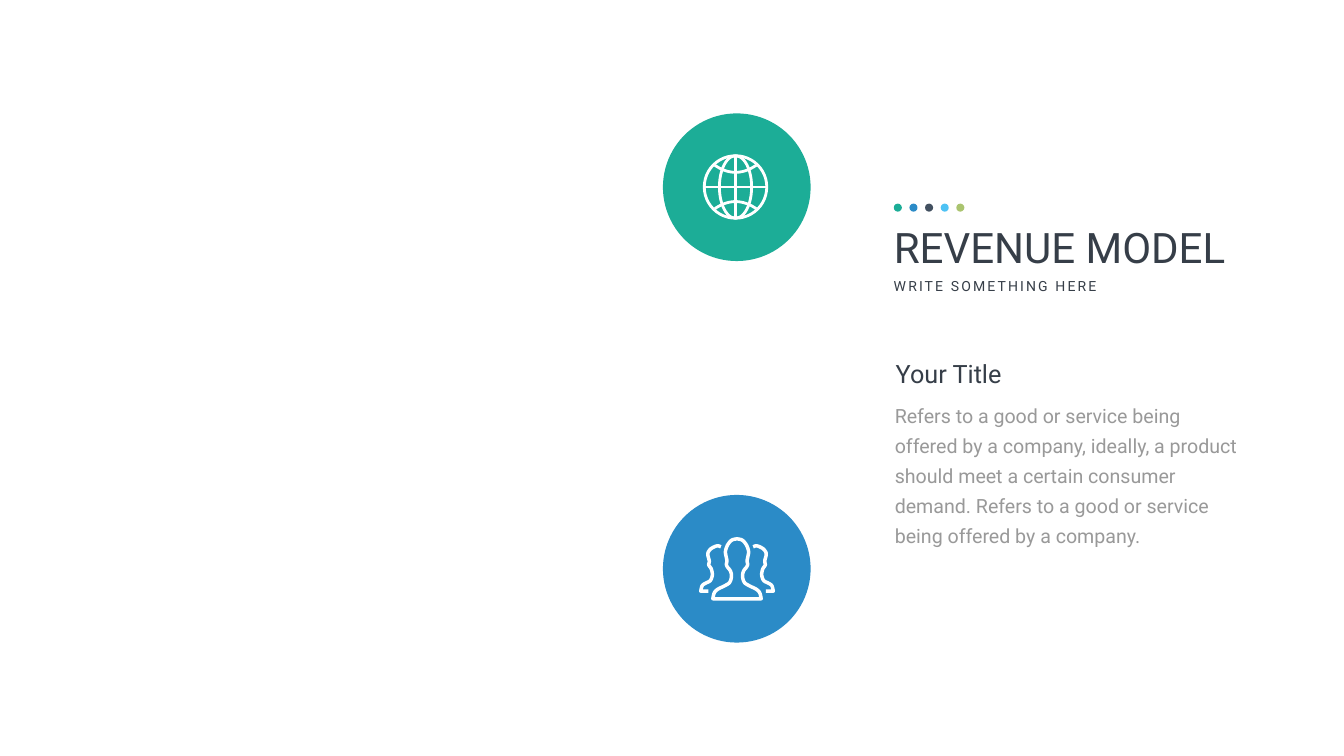
from lxml import etree
from pptx import Presentation
from pptx.dml.color import RGBColor
from pptx.enum.shapes import MSO_CONNECTOR, MSO_SHAPE
from pptx.enum.text import MSO_ANCHOR, MSO_AUTO_SIZE, PP_ALIGN
from pptx.oxml.ns import qn
from pptx.util import Inches, Pt

COLORS = {
    "green": "1CAD97", "blue": "2B8BC7", "slate": "425060", "sky": "4EC2F4",
    "olive": "AAC46F", "dark": "363E48", "gray": "999999", "white": "FFFFFF",
}
FONT = "Roboto"
TITLE = {"text": "REVENUE MODEL", "box": (17.63, 4.35, 7.27, 1.11), "size": 60, "color": "dark"}
TEXTS = [
    {"text": "WRITE SOMETHING HERE", "box": (17.63, 5.46, 4.35, 0.44), "size": 20,
     "color": "dark", "wrap": False, "tracking": 3},
    {"text": "Your Title", "box": (17.67, 7.05, 6.53, 0.71), "size": 36, "color": "dark"},
    {"text": "Refers to a good or service being offered by a company, ideally, a product "
             "should meet a certain consumer demand. Refers to a good or service being "
             "offered by a company.",
     "box": (17.51, 7.76, 7.27, 3.2), "size": 28, "color": "gray",
     "margins": (0.24, 0.12), "line_spacing": 43},
]
BADGES = [(13.15, 9.82, "blue"), (13.15, 2.25, "green")]
BADGE_SIZE = 2.93
DOT_COLORS = ["green", "blue", "slate", "sky", "olive"]
DOT_LEFT, DOT_TOP, DOT_SIZE, DOT_STEP = 17.73, 4.04, 0.16, 0.31

GLOBE_X, GLOBE_Y, GLOBE_RADIUS, MERIDIAN_RADIUS = 14.59, 3.71, 0.62, 0.32
GLOBE_LINE, PEOPLE_LINE = 4, 5
PEOPLE_X = 14.62
# Right halves of the outlines, as offsets from PEOPLE_X and heights on the slide
FRONT_PERSON = [
    (0, 10.69), (0.09, 10.71), (0.15, 10.76), (0.2, 10.84), (0.23, 10.95), (0.21, 11.07),
    (0.2, 11.13), (0.21, 11.2), (0.19, 11.25), (0.13, 11.33), (0.11, 11.44), (0.15, 11.56),
    (0.26, 11.63), (0.38, 11.69), (0.45, 11.76), (0.48, 11.88),
]
BACK_PERSON = [
    (0.32, 10.85), (0.38, 10.83), (0.45, 10.85), (0.53, 10.9), (0.58, 10.99), (0.55, 11.13),
    (0.56, 11.21), (0.51, 11.29), (0.49, 11.41), (0.53, 11.52), (0.62, 11.57), (0.69, 11.62),
    (0.72, 11.73),
]
BACK_PERSON_END = (0.57, 11.73)

presentation = Presentation()
presentation.slide_width, presentation.slide_height = Inches(26.66), Inches(15)
slide = presentation.slides.add_slide(presentation.slide_layouts[5])
shapes = slide.shapes


def rgb(name):
    return RGBColor.from_string(COLORS[name])


def set_text(shape, item):
    shape.left, shape.top, shape.width, shape.height = map(Inches, item["box"])
    side, edge = map(Inches, item.get("margins", (0.1, 0.05)))
    frame_format = {
        "word_wrap": item.get("wrap", True), "auto_size": MSO_AUTO_SIZE.SHAPE_TO_FIT_TEXT,
        "vertical_anchor": MSO_ANCHOR.TOP, "margin_left": side, "margin_right": side,
        "margin_top": edge, "margin_bottom": edge,
    }
    for name, value in frame_format.items():
        setattr(shape.text_frame, name, value)
    paragraph = shape.text_frame.paragraphs[0]
    paragraph.alignment = PP_ALIGN.LEFT
    if "line_spacing" in item:
        paragraph.line_spacing = Pt(item["line_spacing"])
    run = paragraph.add_run()
    run.text = item["text"]
    for name, value in {"name": FONT, "size": Pt(item["size"])}.items():
        setattr(run.font, name, value)
    run.font.color.rgb = rgb(item["color"])
    if "tracking" in item:
        run._r.get_or_add_rPr().set("spc", str(item["tracking"] * 100))


def add_ellipse(left, top, width, height, color):
    shape = shapes.add_shape(MSO_SHAPE.OVAL, *map(Inches, (left, top, width, height)))
    shape.shadow.inherit = False
    shape.fill.solid()
    shape.fill.fore_color.rgb = rgb(color)
    shape.line.fill.background()
    return shape


def set_stroke(shape, width):
    shape.line.color.rgb = rgb("white")
    shape.line.width = Pt(width)


def add_outline(points, width, close=False):
    corners = [(Inches(x), Inches(y)) for x, y in points]
    builder = shapes.build_freeform(*corners[0])
    builder.add_line_segments(corners[1:], close=close)
    shape = builder.convert_to_shape()
    shape.shadow.inherit = False
    shape.fill.background()
    set_stroke(shape, width)


def smooth(points, steps=5):
    """Return a Catmull-Rom curve through the points."""
    padded = [points[0], *points, points[-1]]
    curve = []
    for a, b, c, d in zip(padded, padded[1:], padded[2:], padded[3:]):
        for step in range(steps):
            t = step / steps
            curve.append(tuple(
                (2 * q + (r - p) * t + (2 * p - 5 * q + 4 * r - s) * t ** 2
                 + (3 * q - p - 3 * r + s) * t ** 3) / 2
                for p, q, r, s in zip(a, b, c, d)))
    return curve + [points[-1]]


def place(points, side):
    return [(PEOPLE_X + side * x, y) for x, y in points]


def draw_people():
    half = smooth(FRONT_PERSON)
    add_outline(place(half, 1) + place(half[:0:-1], -1), PEOPLE_LINE, close=True)
    for side in (1, -1):
        add_outline(place(smooth(BACK_PERSON) + [BACK_PERSON_END], side), PEOPLE_LINE)


def draw_globe():
    for radius in (GLOBE_RADIUS, MERIDIAN_RADIUS):
        ring = add_ellipse(GLOBE_X - radius, GLOBE_Y - GLOBE_RADIUS,
                           2 * radius, 2 * GLOBE_RADIUS, "white")
        ring.fill.background()
        set_stroke(ring, GLOBE_LINE)
    for dx, dy in ((GLOBE_RADIUS, 0), (0, GLOBE_RADIUS)):
        ends = (GLOBE_X - dx, GLOBE_Y - dy, GLOBE_X + dx, GLOBE_Y + dy)
        line = shapes.add_connector(MSO_CONNECTOR.STRAIGHT, *map(Inches, ends))
        set_stroke(line, GLOBE_LINE)
        etree.SubElement(line._element.spPr, qn("a:effectLst"))
    offsets = [step / 10 for step in range(-10, 11)]
    for side in (1, -1):
        add_outline([(GLOBE_X + 0.41 * t, GLOBE_Y + side * (0.29 + 0.14 * t ** 2))
                     for t in offsets], GLOBE_LINE)


for left, top, color in BADGES:
    add_ellipse(left, top, BADGE_SIZE, BADGE_SIZE, color)
set_text(shapes.title, TITLE)
for item in TEXTS:
    set_text(shapes.add_textbox(0, 0, 0, 0), item)
for index, color in enumerate(DOT_COLORS):
    add_ellipse(DOT_LEFT + index * DOT_STEP, DOT_TOP, DOT_SIZE, DOT_SIZE, color)
draw_people()
draw_globe()
presentation.save("out.pptx")
